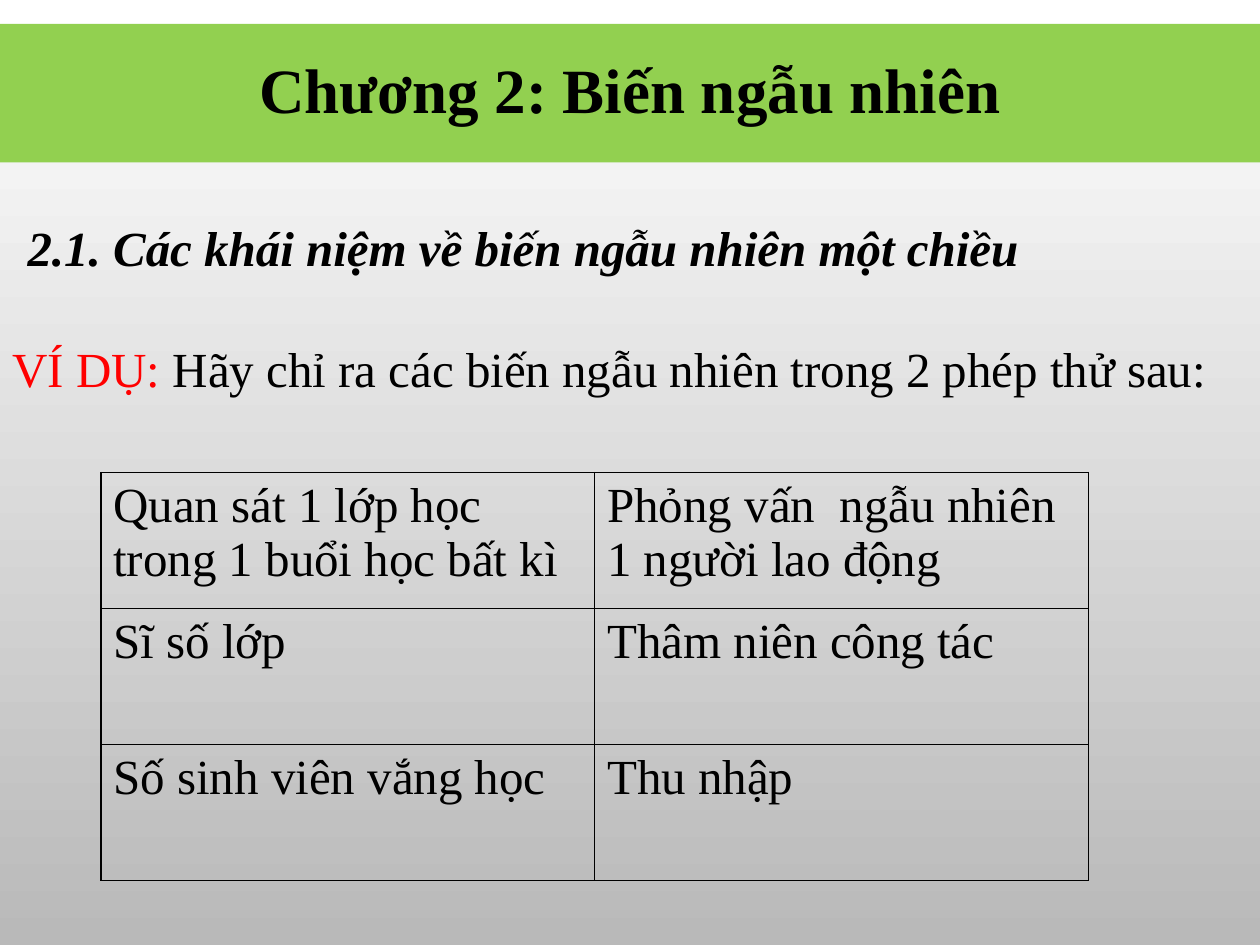
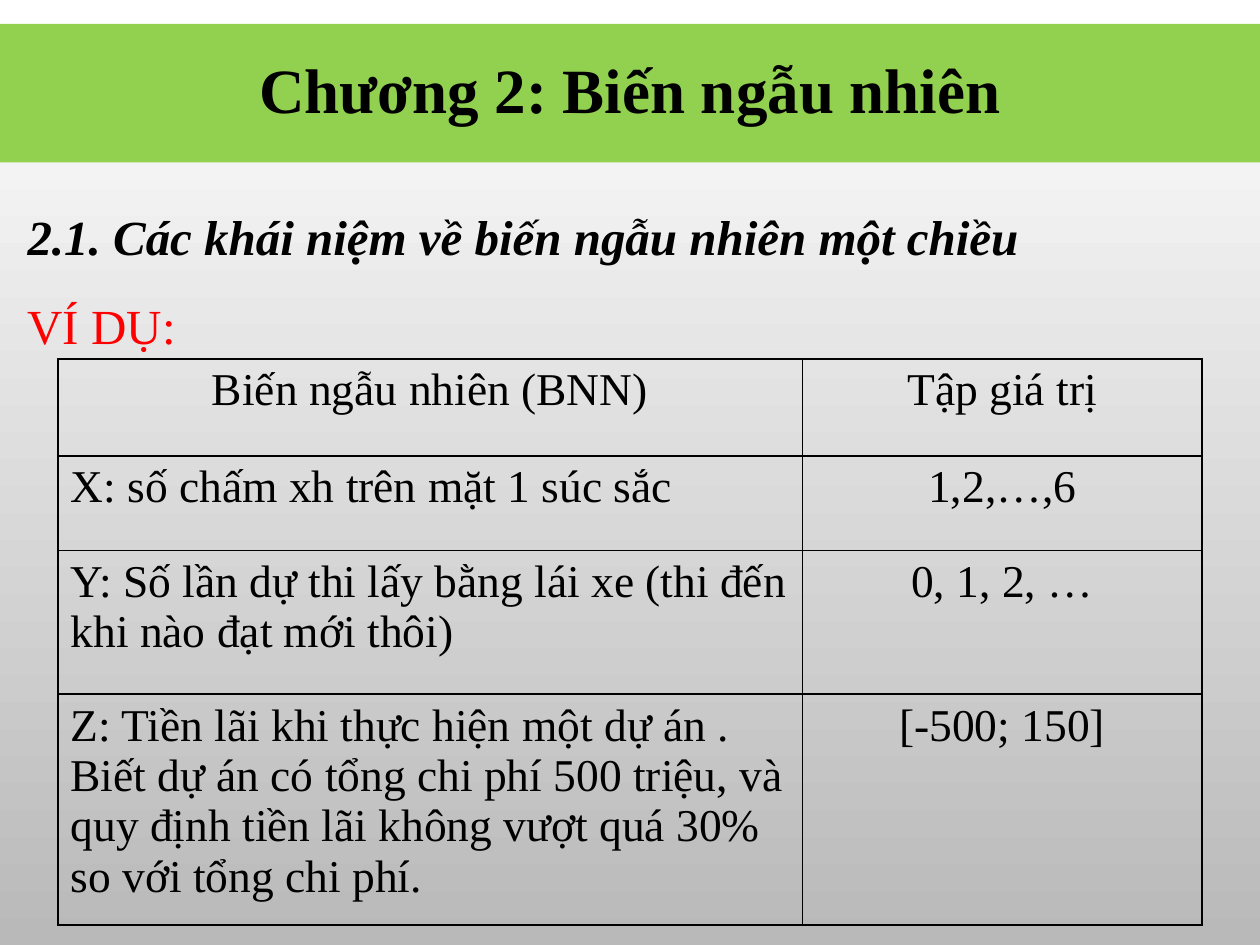
from lxml import etree
from pptx import Presentation
from pptx.dml.color import RGBColor
from pptx.enum.shapes import MSO_SHAPE
from pptx.enum.text import MSO_ANCHOR, MSO_AUTO_SIZE, PP_ALIGN
from pptx.oxml import parse_xml
from pptx.util import Inches, Pt

RECT = MSO_SHAPE.RECTANGLE
MIDDLE = MSO_ANCHOR.MIDDLE
GROW = MSO_AUTO_SIZE.SHAPE_TO_FIT_TEXT
LEFT, CENTER = PP_ALIGN.LEFT, PP_ALIGN.CENTER

FONT = "Times New Roman"
BLACK, RED, GREEN = "000000", "FF0000", "92D050"
FADE = ("FFFFFF", "B9B9B9")
TITLE = "Chương 2: Biến ngẫu nhiên"
HEAD = "2.1. Các khái niệm về biến ngẫu nhiên một chiều"
NS = "http://schemas.openxmlformats.org/drawingml/2006/main"
EDGE = (f'<a:{{0}} xmlns:a="{NS}" w="12700"><a:solidFill>'
        f'<a:srgbClr val="{BLACK}"/></a:solidFill></a:{{0}}>')


def color(code):
    return RGBColor.from_string(code)


def add_run(para, text, size, code=BLACK, bold=False, italic=False):
    run = para.add_run()
    run.text = text
    font = run.font
    font.name, font.size = FONT, Pt(size)
    font.bold, font.italic = bold, italic
    font.color.rgb = color(code)


# What each slide holds: text boxes (place, wrap, line spacing, paragraphs
# of runs) and one table
head = (HEAD, 28, BLACK, True, True)
pages = [
    {
        "boxes": [
            ((0.12, 1.68, 9.19, 0.57), True, 1, [[head]]),
            ((0, 2.64, 9.82, 0.57), False, 1, [[
                ("VÍ DỤ: ", 28, RED),
                ("Hãy chỉ ra các biến ngẫu nhiên trong 2 phép thử sau:", 28),
            ]]),
        ],
        "at": (0.8, 3.75),
        "cols": (3.92, 3.92),
        "rows": (1.08, 1.08, 1.08),
        "size": 28,
        "mid": [],
        "cells": [
            ("Quan sát 1 lớp học trong 1 buổi học bất kì",
             "Phỏng vấn  ngẫu nhiên 1 người lao động"),
            ("Sĩ số lớp", "Thâm niên công tác"),
            ("Số sinh viên vắng học", "Thu nhập"),
        ],
    },
    {
        "boxes": [
            ((0.12, 1.36, 9.19, 1.43), True, 1.5,
             [[head], [("VÍ DỤ:", 28, RED)]]),
        ],
        "at": (0.46, 2.85),
        "cols": (5.91, 3.17),
        "rows": (0.77, 0.75, 1.14, 1.83),
        "size": 26,
        "mid": [(0, 0), (0, 1), (1, 1), (2, 1), (3, 1)],
        "cells": [
            ("Biến ngẫu nhiên (BNN)", "Tập giá trị"),
            ("X: số chấm xh trên mặt 1 súc sắc", "1,2,…,6"),
            ("Y: Số lần dự thi lấy bằng lái xe (thi đến khi nào đạt mới thôi)",
             "0, 1, 2, …"),
            ("Z: Tiền lãi khi thực hiện một dự án . Biết dự án có tổng chi phí "
             "500 triệu, và quy định tiền lãi không vượt quá 30% so với tổng "
             "chi phí.", "[-500; 150]"),
        ],
    },
]

prs = Presentation()
prs.slide_width, prs.slide_height = Inches(10), Inches(7.5)

for page in pages:
    slide = prs.slides.add_slide(prs.slide_layouts[6])

    # Background fades from top to bottom
    fill = slide.background.fill
    fill.gradient()
    fill.gradient_angle = 270
    for stop, code, pos in zip(fill.gradient_stops, FADE, (0, 1)):
        stop.color.rgb = color(code)
        stop.position = pos

    # Table
    cols, rows = page["cols"], page["rows"]
    place = (*page["at"], sum(cols), sum(rows))
    table = slide.shapes.add_table(
        len(rows), len(cols), *map(Inches, place)).table
    table.first_row = table.horz_banding = False
    for col, width in zip(table.columns, cols):
        col.width = Inches(width)
    for row, height in zip(table.rows, rows):
        row.height = Inches(height)
    for r, line in enumerate(page["cells"]):
        for c, text in enumerate(line):
            cell = table.cell(r, c)
            para = cell.text_frame.paragraphs[0]
            para.alignment = CENTER if (r, c) in page["mid"] else LEFT
            add_run(para, text, page["size"])
            cell.fill.background()
            props = cell._tc.get_or_add_tcPr()
            for i, side in enumerate(("lnL", "lnR", "lnT", "lnB")):
                props.insert(i, parse_xml(EDGE.format(side)))

    # Title band
    band = slide.shapes.add_shape(
        RECT, *map(Inches, (0, 0.19, 10, 1.1)))
    band.shadow.inherit = False
    band.fill.solid()
    band.fill.fore_color.rgb = color(GREEN)
    band.line.fill.background()
    frame = band.text_frame
    frame.word_wrap, frame.vertical_anchor = True, MIDDLE
    para = frame.paragraphs[0]
    para.alignment, para.line_spacing = CENTER, 0.9
    add_run(para, TITLE, 36, bold=True)

    # Heading and example
    for place, wrap, space, paras in page["boxes"]:
        frame = slide.shapes.add_textbox(*map(Inches, place)).text_frame
        frame.word_wrap, frame.auto_size = wrap, GROW
        for i, runs in enumerate(paras):
            para = frame.add_paragraph() if i else frame.paragraphs[0]
            para.line_spacing = space
            for run in runs:
                add_run(para, *run)

prs.save("out.pptx")
